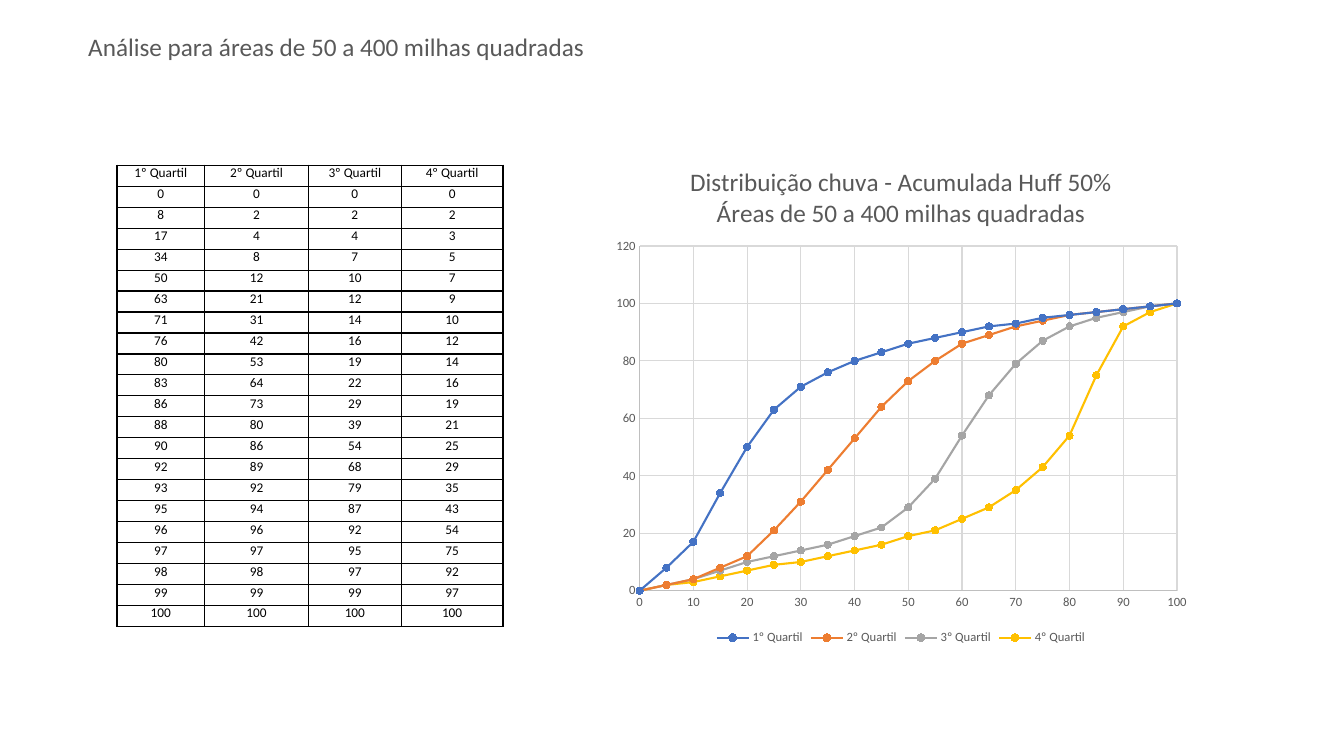
"""Build a slide with a rainfall quartile table and its Huff curves."""
from lxml.etree import SubElement as Sub
from pptx import Presentation
from pptx.chart.data import XyChartData
from pptx.dml.color import RGBColor
from pptx.enum.chart import XL_CHART_TYPE as Kind, XL_LEGEND_POSITION as Spot
from pptx.enum.chart import XL_MARKER_STYLE as Mark, XL_TICK_MARK as Tick
from pptx.enum.text import MSO_ANCHOR as Anchor, PP_ALIGN as Align
from pptx.oxml import parse_xml
from pptx.oxml.ns import nsdecls, qn
from pptx.util import Inches, Pt

GRAY = "595959"
QUARTS = {
    "1º Quartil": ("4472C4", [0, 8, 17, 34, 50, 63, 71, 76, 80, 83, 86,
                              88, 90, 92, 93, 95, 96, 97, 98, 99, 100]),
    "2º Quartil": ("ED7D31", [0, 2, 4, 8, 12, 21, 31, 42, 53, 64, 73,
                              80, 86, 89, 92, 94, 96, 97, 98, 99, 100]),
    "3º Quartil": ("A5A5A5", [0, 2, 4, 7, 10, 12, 14, 16, 19, 22, 29,
                              39, 54, 68, 79, 87, 92, 95, 97, 99, 100]),
    "4º Quartil": ("FFC000", [0, 2, 3, 5, 7, 9, 10, 12, 14, 16, 19,
                              21, 25, 29, 35, 43, 54, 75, 92, 97, 100]),
}


def style(font, size, tone):
    font.name, font.size, font.bold = "Calibri", Pt(size), False
    font.color.rgb = RGBColor.from_string(tone)


def write(para, text, size, tone):
    para.alignment = Align.CENTER
    run = para.add_run()
    run.text = text
    style(run.font, size, tone)


deck = Presentation()
deck.slide_width, deck.slide_height = Inches(13.33), Inches(7.5)
slide = deck.slides.add_slide(deck.slide_layouts[6])

cols = [[name, *vals] for name, (tone, vals) in QUARTS.items()]
count = len(cols[0])
table = slide.shapes.add_table(count, len(cols), Inches(1.16), Inches(1.64),
                               Inches(3.83), Inches(4.58)).table
table.first_row = table.horz_banding = False
for col, width in zip(table.columns, (0.87, 1.03, 0.92, 1.01)):
    col.width = Inches(width)
for j, items in enumerate(cols):
    for i, item in enumerate(items):
        cell = table.cell(i, j)
        cell.margin_left = cell.margin_right = 0
        cell.margin_top = cell.margin_bottom = 0
        cell.vertical_anchor = Anchor.TOP
        props = cell._tc.get_or_add_tcPr()
        for side in "LRTB":
            edge = Sub(props, qn(f"a:ln{side}"), w=str(Pt(1)))
            Sub(Sub(edge, qn("a:solidFill")), qn("a:srgbClr"), val="000000")
        cell.fill.background()
        write(cell.text_frame.paragraphs[0], str(item), 9.5, "000000")

data = XyChartData()
for name, (tone, vals) in QUARTS.items():
    curve = data.add_series(name)
    for i, val in enumerate(vals):
        curve.add_data_point(i * 5, val)
chart = slide.shapes.add_chart(Kind.XY_SCATTER_SMOOTH, Inches(5.99), Inches(1.41),
                               Inches(5.89), Inches(5.03), data).chart
style(chart.font, 10, "000000")
chart.plots[0].vary_by_categories = False
for curve, (tone, vals) in zip(chart.plots[0].series, QUARTS.values()):
    color = RGBColor.from_string(tone)
    curve.smooth = True
    curve.format.line.width = Pt(1.5)
    curve.format.line.color.rgb = color
    mark = curve.marker
    mark.style, mark.size = Mark.CIRCLE, 5
    mark.format.fill.solid()
    mark.format.fill.fore_color.rgb = color
    mark.format.line.color.rgb = color

for axis, top, step in ((chart.category_axis, 100, 10), (chart.value_axis, 120, 20)):
    axis.minimum_scale, axis.maximum_scale, axis.major_unit = 0, top, step
    axis.major_tick_mark = axis.minor_tick_mark = Tick.NONE
    axis.has_major_gridlines = True
    style(axis.tick_labels.font, 9, GRAY)
    for line, tone in ((axis.format.line, "BFBFBF"),
                       (axis.major_gridlines.format.line, "D9D9D9")):
        line.width = Pt(0.75)
        line.color.rgb = RGBColor.from_string(tone)

chart.has_legend = True
chart.legend.position = Spot.BOTTOM
chart.legend.include_in_layout = False
style(chart.legend.font, 9, GRAY)

chart.has_title = True
head = chart.chart_title.text_frame
write(head.paragraphs[0], "Distribuição chuva - Acumulada Huff 50%", 18, GRAY)
write(head.add_paragraph(), "Áreas de 50 a 400 milhas quadradas", 18, GRAY)

area = chart._chartSpace.chart.plotArea
title = chart.chart_title._element
places = ((title, 1, {"xMode": "edge", "yMode": "edge", "x": 0.14, "y": 0.04}),
          (area, 0, {"layoutTarget": "inner", "xMode": "edge", "yMode": "edge",
                     "x": 0.06, "y": 0.205, "w": 0.905, "h": 0.68}))
for part, slot, rules in places:
    for old in part.findall(qn("c:layout")):
        part.remove(old)
    box = parse_xml(f"<c:layout {nsdecls('c')}><c:manualLayout/></c:layout>")
    for key, val in rules.items():
        Sub(box[0], qn(f"c:{key}"), val=str(val))
    part.insert(slot, box)

label = slide.shapes.add_textbox(Inches(0), Inches(0.26), Inches(6.67), Inches(0.4))
label.text_frame.word_wrap = True
write(label.text_frame.paragraphs[0],
      "Análise para áreas de 50 a 400 milhas quadradas", 18, GRAY)

deck.save("out.pptx")
